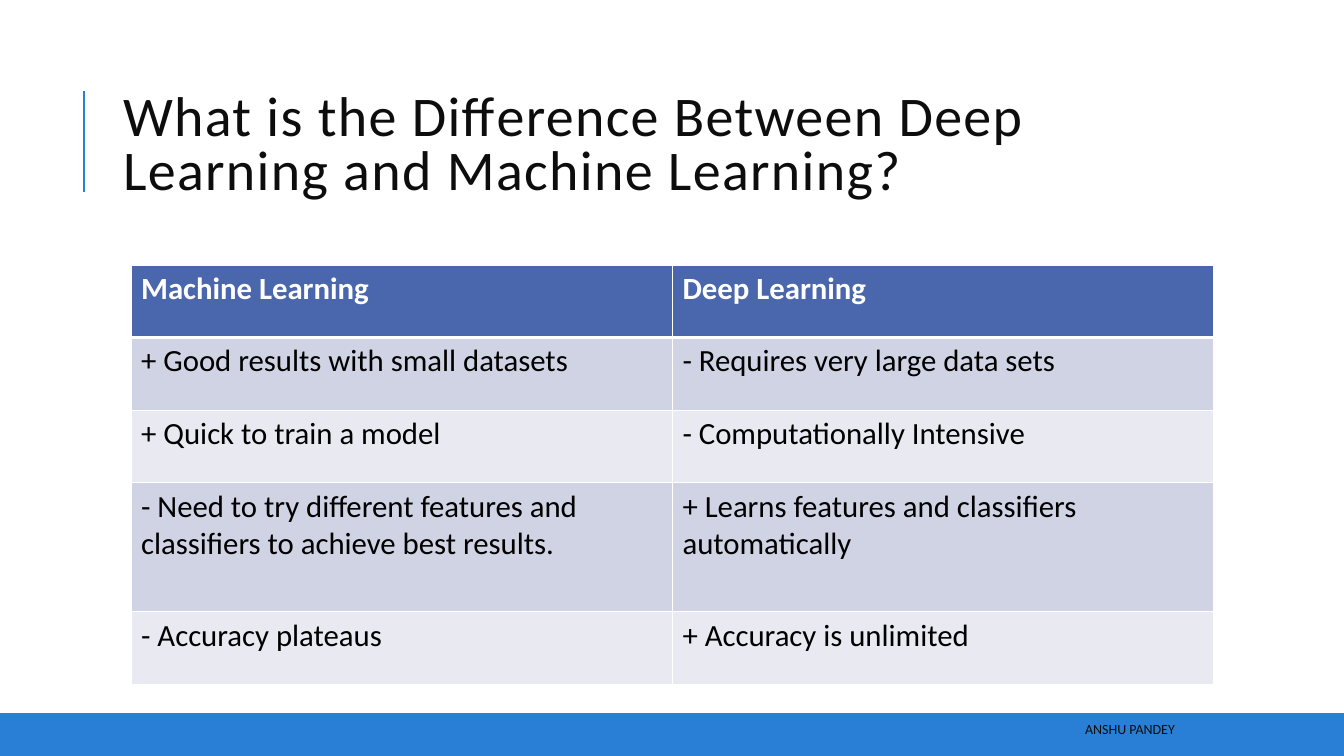
from lxml.etree import SubElement
from pptx import Presentation
from pptx.dml.color import RGBColor
from pptx.enum.shapes import MSO_CONNECTOR, MSO_SHAPE
from pptx.enum.text import MSO_ANCHOR, MSO_AUTO_SIZE, PP_ALIGN
from pptx.oxml import parse_xml
from pptx.oxml.ns import nsdecls, qn
from pptx.util import Pt

TITLE = "What is the Difference Between Deep Learning and Machine Learning?"
FOOTER = "ANSHU PANDEY"
COMPARISON = [
    ("Machine Learning", "Deep Learning"),
    ("+ Good results with small datasets", "- Requires very large data sets"),
    ("+ Quick to train a model", "- Computationally Intensive"),
    ("- Need to try different features and classifiers to achieve best results.",
     "+ Learns features and classifiers automatically"),
    ("- Accuracy plateaus", "+ Accuracy is unlimited"),
]

# Lengths in px, 100 px to the inch
PX = 9144
SLIDE_SIZE = (1333, 750)
TITLE_BOX = (112, 64, 1063, 164)
ACCENT_LINE = (83, 190, 83, 90)
BAND_BOX = (0, 708, 1333, 42)
FOOTER_BOX = (530, 708, 645, 30)
TABLE_LEFT, TABLE_TOP = 130, 263
COLUMN_WIDTH = 537
ROW_HEIGHTS = [72, 72, 72, 128, 72]

FONT = "Calibri"
BLUE = RGBColor(0x29, 0x7F, 0xD5)
HEADER_BLUE = RGBColor(0x4A, 0x66, 0xAC)
BAND_DARK = RGBColor(0xD0, 0xD3, 0xE3)
BAND_LIGHT = RGBColor(0xE9, 0xEA, 0xF1)
INK = RGBColor(0x0D, 0x0D, 0x0D)
BLACK = RGBColor(0, 0, 0)
WHITE = RGBColor(0xFF, 0xFF, 0xFF)


def emu(lengths):
    return [length * PX for length in lengths]


def add_run(paragraph, text, size, color, bold=False):
    run = paragraph.add_run()
    run.text = text
    run.font.name = FONT
    run.font.size = Pt(size)
    run.font.bold = bold
    run.font.color.rgb = color
    return run


def set_borders(cell, top, bottom):
    """Draw white borders; top and bottom are widths in points, the sides are 1."""
    properties = cell._tc.get_or_add_tcPr()
    widths = {"lnL": 1, "lnR": 1, "lnT": top, "lnB": bottom}
    for index, (side, width) in enumerate(widths.items()):
        properties.insert(index, parse_xml(
            f'<a:{side} {nsdecls("a")} w="{Pt(width)}"><a:solidFill>'
            f'<a:srgbClr val="{WHITE}"/></a:solidFill></a:{side}>'))


def add_decoration(slide):
    accent = slide.shapes.add_connector(MSO_CONNECTOR.STRAIGHT, *emu(ACCENT_LINE))
    accent.line.color.rgb = BLUE
    accent.line.width = Pt(1.5)
    SubElement(accent._element.spPr, qn("a:effectLst"))

    band = slide.shapes.add_shape(MSO_SHAPE.RECTANGLE, *emu(BAND_BOX))
    band.shadow.inherit = False
    band.fill.solid()
    band.fill.fore_color.rgb = BLUE
    band.line.color.rgb = BLUE
    band.line.width = Pt(1.25)


def add_title(slide):
    title = slide.shapes.title
    title.left, title.top, title.width, title.height = emu(TITLE_BOX)
    frame = title.text_frame
    frame.word_wrap = True
    frame.auto_size = MSO_AUTO_SIZE.NONE
    frame.vertical_anchor = MSO_ANCHOR.MIDDLE
    paragraph = frame.paragraphs[0]
    paragraph.alignment = PP_ALIGN.LEFT
    paragraph.line_spacing = 0.8
    run = add_run(paragraph, TITLE, 40, INK)
    run.font._element.set("spc", "100")


def add_comparison(slide):
    columns = len(COMPARISON[0])
    table = slide.shapes.add_table(
        len(COMPARISON), columns,
        *emu((TABLE_LEFT, TABLE_TOP, columns * COLUMN_WIDTH, sum(ROW_HEIGHTS)))).table
    for column in table.columns:
        column.width = COLUMN_WIDTH * PX
    for row_index, texts in enumerate(COMPARISON):
        table.rows[row_index].height = ROW_HEIGHTS[row_index] * PX
        header = row_index == 0
        banding = BAND_DARK if row_index % 2 else BAND_LIGHT
        for column_index, text in enumerate(texts):
            cell = table.cell(row_index, column_index)
            cell.fill.solid()
            cell.fill.fore_color.rgb = HEADER_BLUE if header else banding
            set_borders(cell, top=3 if row_index == 1 else 1, bottom=3 if header else 1)
            add_run(cell.text_frame.paragraphs[0], text, 22,
                    WHITE if header else BLACK, bold=header)


def add_footer(slide):
    frame = slide.shapes.add_textbox(*emu(FOOTER_BOX)).text_frame
    frame.word_wrap = True
    frame.vertical_anchor = MSO_ANCHOR.MIDDLE
    paragraph = frame.paragraphs[0]
    paragraph.alignment = PP_ALIGN.RIGHT
    add_run(paragraph, FOOTER, 10, INK)


def main():
    presentation = Presentation()
    presentation.slide_width, presentation.slide_height = emu(SLIDE_SIZE)
    title_only = presentation.slide_layouts[5]
    slide = presentation.slides.add_slide(title_only)
    add_decoration(slide)
    add_title(slide)
    add_comparison(slide)
    add_footer(slide)
    presentation.save("out.pptx")


if __name__ == "__main__":
    main()
